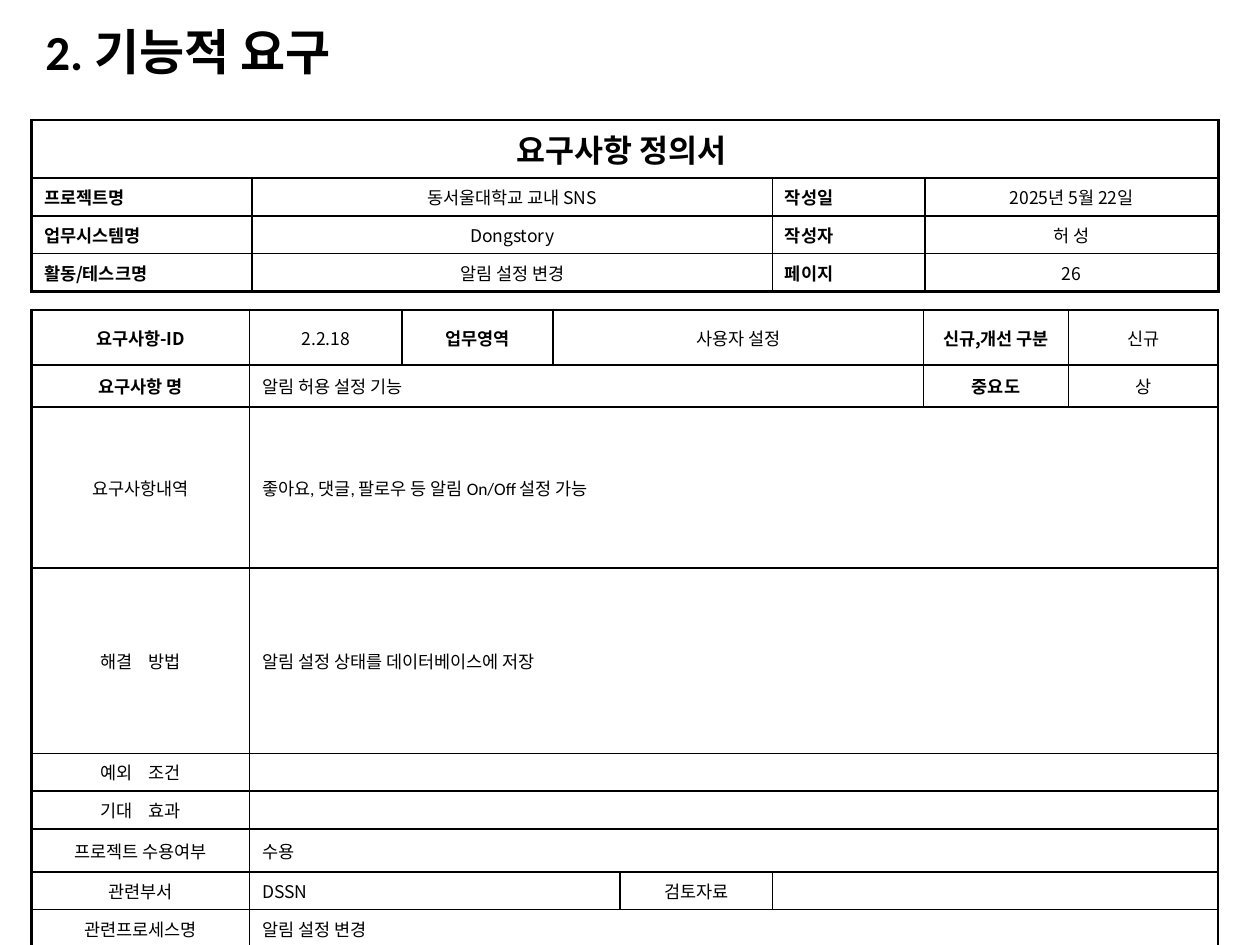
import collections

import lxml.etree
import pptx
import pptx.dml.color
import pptx.enum.text
import pptx.oxml.ns
import pptx.util

PX = 9144  # EMU per px at 100 px to the inch
BLACK = pptx.dml.color.RGBColor(0, 0, 0)
KOREAN_FONT = "Noto Sans CJK KR"
LATIN_FONT = "Calibri"
THIN, THICK = 1, 1.5

ALIGN = pptx.enum.text.PP_ALIGN
ANCHOR = pptx.enum.text.MSO_ANCHOR
qn = pptx.oxml.ns.qn

Entry = collections.namedtuple(
    "Entry", "text span bold align size font anchor",
    defaults=(1, False, ALIGN.CENTER, 10, KOREAN_FONT, ANCHOR.MIDDLE))


def px(value):
    return pptx.util.Emu(value * PX)


def head(text):
    return Entry(text, bold=True)


def body(text, span=7, font=KOREAN_FONT):
    return Entry(text, span, align=ALIGN.LEFT, font=font)


def header_row(label, value, side_label, side_value):
    def name(text):
        return Entry(text, bold=True, align=ALIGN.JUSTIFY, anchor=ANCHOR.TOP)

    def content(text):
        return Entry(text, anchor=ANCHOR.TOP)

    return [name(label), content(value), name(side_label), content(side_value)]


HEADER_COLUMNS = [175, 413, 121, 233]
HEADER_HEIGHTS = [46, 27, 27, 27]
HEADER_ROWS = [
    [Entry("요구사항 정의서 ", 4, bold=True, size=18)],
    header_row("프로젝트명", "동서울대학교 교내 SNS", "작성일", "2025년 5월 22일"),
    header_row("업무시스템명 ", "Dongstory", "작성자", "허 성"),
    header_row("활동/테스크명", "알림 설정 변경", "페이지", "26"),
]

DETAIL_COLUMNS = [173, 121, 120, 53, 121, 120, 115, 119]
DETAIL_HEIGHTS = [44, 33, 128, 147, 27, 27, 34, 27, 27]
DETAIL_ROWS = [
    [head("요구사항-ID"), Entry("2.2.18"), head("업무영역"),
     Entry("사용자 설정", 3), head("신규,개선 구분"), Entry("신규")],
    [head("요구사항 명"), body("알림 허용 설정 기능", 5), head("중요도"), Entry("상")],
    [Entry("요구사항내역"),
     body("좋아요, 댓글, 팔로우 등 알림 On/Off 설정 가능", font=LATIN_FONT)],
    [Entry("해결    방법"), body("알림 설정 상태를 데이터베이스에 저장")],
    [Entry("예외    조건"), body("")],
    [Entry("기대    효과"), body("")],
    [Entry("프로젝트 수용여부"), body("수용")],
    [Entry("관련부서"), body("DSSN", 3), Entry("검토자료"), body("", 3)],
    [Entry("관련프로세스명"), body("알림 설정 변경")],
]


def format_font(paragraph, name, size, bold):
    font = paragraph.font
    font.name, font.bold = name, bold
    font.size = pptx.util.Pt(size)
    font.color.rgb = BLACK
    properties = paragraph._p.pPr.find(qn("a:defRPr"))
    east_asian = lxml.etree.SubElement(properties, qn("a:ea"))
    east_asian.set("typeface", KOREAN_FONT)


def add_border(cell, side, width):
    line = lxml.etree.SubElement(cell._tc.get_or_add_tcPr(), qn("a:ln" + side))
    line.set("w", str(int(pptx.util.Pt(width))))
    fill = lxml.etree.SubElement(line, qn("a:solidFill"))
    lxml.etree.SubElement(fill, qn("a:srgbClr")).set("val", str(BLACK))


def fill_entry(cell, entry):
    cell.vertical_anchor = entry.anchor
    paragraph = cell.text_frame.paragraphs[0]
    paragraph.alignment = entry.align
    format_font(paragraph, entry.font, entry.size, entry.bold)
    if entry.text:
        paragraph.add_run().text = entry.text
    else:
        # An empty cell takes its line height from the end mark.
        end = lxml.etree.SubElement(paragraph._p, qn("a:endParaRPr"))
        end.set("sz", str(entry.size * 100))


def add_form(slide, left, top, columns, heights, rows, thick_rules):
    """Draw a bordered form; thick_rules are the horizontal rules drawn thick."""
    frame = slide.shapes.add_table(len(heights), len(columns), px(left), px(top),
                                   px(sum(columns)), px(sum(heights)))
    table = frame.table
    table.first_row = table.horz_banding = False
    for column, width in zip(table.columns, columns):
        column.width = px(width)
    for row, height in zip(table.rows, heights):
        row.height = px(height)

    def rule(index):
        return THICK if index in thick_rules else THIN

    def upright(index):
        return THICK if index in (0, len(columns)) else THIN

    for r, entries in enumerate(rows):
        first = 0
        for entry in entries:
            end = first + entry.span
            for c in range(first, end):
                cell = table.cell(r, c)
                if c == first:
                    add_border(cell, "L", upright(c))
                # A merged cell takes its right border from its first cell.
                if c in (first, end - 1):
                    add_border(cell, "R", upright(end))
                add_border(cell, "T", rule(r))
                add_border(cell, "B", rule(r + 1))
                cell.fill.background()
            if entry.span > 1:
                table.cell(r, first).merge(table.cell(r, end - 1))
            fill_entry(table.cell(r, first), entry)
            first = end


def place_title(slide, left, top, width, height, text):
    title = slide.shapes.title
    title.left, title.top = px(left), px(top)
    title.width, title.height = px(width), px(height)
    frame = title.text_frame
    frame.text = text
    frame.vertical_anchor = ANCHOR.MIDDLE
    paragraph = frame.paragraphs[0]
    paragraph.alignment = ALIGN.LEFT
    paragraph.line_spacing = 0.9
    format_font(paragraph, LATIN_FONT, 28, True)


def main():
    presentation = pptx.Presentation()
    presentation.slide_width, presentation.slide_height = px(1000), px(750)
    slide = presentation.slides.add_slide(presentation.slide_layouts[5])
    place_title(slide, 26, 21, 536, 44, "2. 기능적 요구")
    add_form(slide, 25, 246, DETAIL_COLUMNS, DETAIL_HEIGHTS, DETAIL_ROWS, {0, 1, 2, 9})
    add_form(slide, 25, 95, HEADER_COLUMNS, HEADER_HEIGHTS, HEADER_ROWS, {0, 4})
    presentation.save("out.pptx")


if __name__ == "__main__":
    main()
